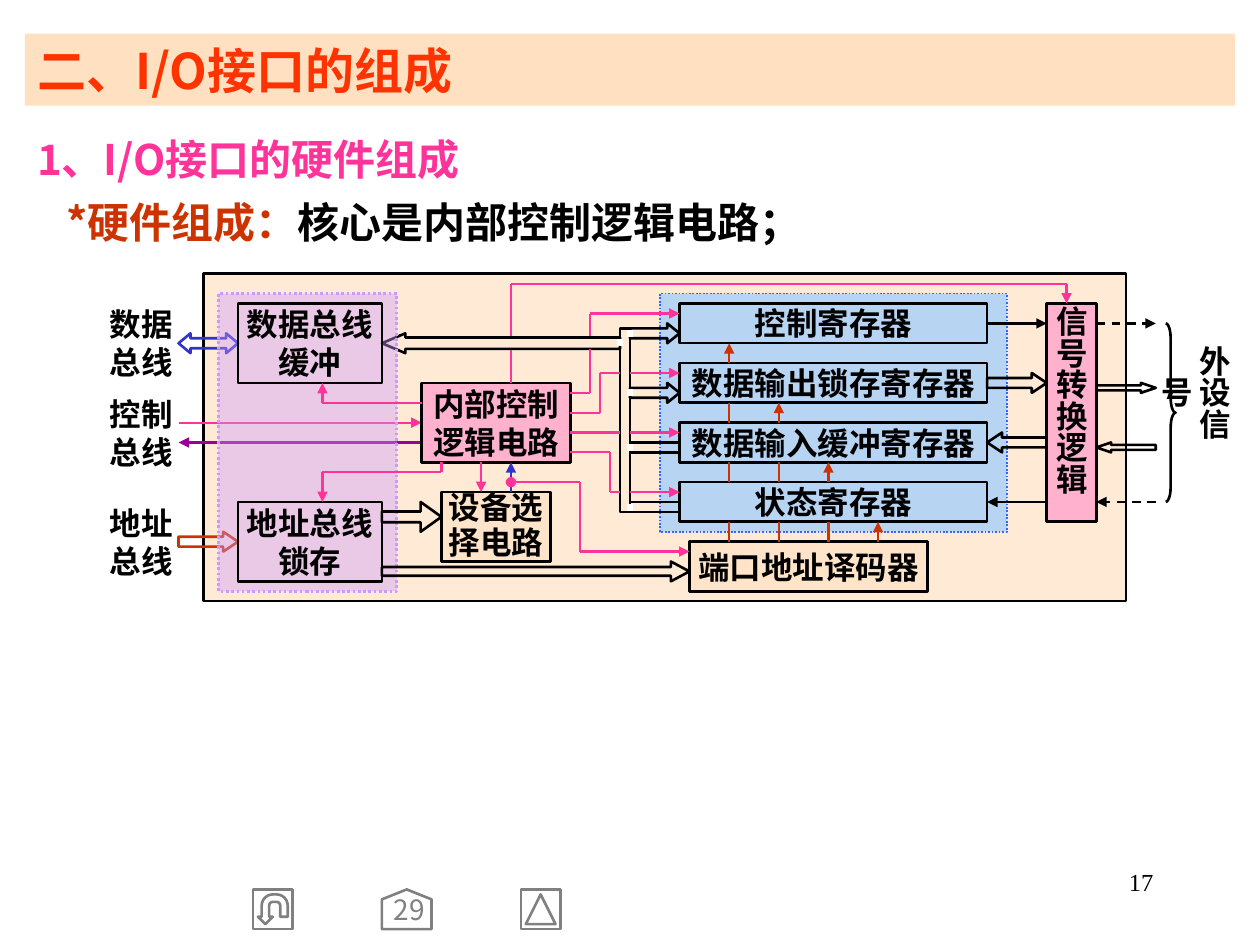
from itertools import pairwise

from lxml.etree import SubElement
from pptx import Presentation
from pptx.dml.color import RGBColor
from pptx.enum.dml import MSO_LINE
from pptx.enum.shapes import MSO_CONNECTOR, MSO_SHAPE
from pptx.enum.text import MSO_ANCHOR, MSO_AUTO_SIZE, PP_ALIGN
from pptx.oxml.ns import qn
from pptx.util import Cm, Pt

CJK_FONT = "Noto Sans CJK SC"
BLACK = RGBColor(0, 0, 0)
WHITE = RGBColor(0xFF, 0xFF, 0xFF)
GRAY = RGBColor(0x80, 0x80, 0x80)
PEACH = RGBColor(0xFF, 0xCC, 0x99)
ORANGE = RGBColor(0xFF, 0x33, 0x00)
RUST = RGBColor(0xCC, 0x33, 0x00)
PINK = RGBColor(0xFF, 0x33, 0x99)
ROSE = RGBColor(0xFF, 0x99, 0xCC)
PURPLE = RGBColor(0x99, 0x00, 0x99)
LILAC = RGBColor(0xCC, 0x99, 0xFF)
INDIGO = RGBColor(0x33, 0x33, 0xCC)
SKY = RGBColor(0x99, 0xCC, 0xFF)
BLUE = RGBColor(0x33, 0x66, 0xFF)

TOP = 5.52  # upper edge of the diagram, in cm; diagram heights count from here
RECT, RIGHT, LEFT = MSO_SHAPE.RECTANGLE, MSO_SHAPE.RIGHT_ARROW, MSO_SHAPE.LEFT_ARROW

prs = Presentation()
prs.slide_width, prs.slide_height = Cm(25.4), Cm(19.05)
slide = prs.slides.add_slide(prs.slide_layouts[5])


def block(x, y, width, height, text="", kind=RECT, fill=None, alpha=100, line=BLACK,
          weight=1.5, dash=None, adjust=(), vertical=False, color=BLACK, size=18,
          bold=True, spacing=None):
    """Add a preset shape, or a text box when kind is None."""
    place = Cm(x), Cm(TOP + y), Cm(width), Cm(height)
    if kind is None:
        shape = slide.shapes.add_textbox(*place)
    else:
        shape = slide.shapes.add_shape(kind, *place)
        shape.shadow.inherit = False
        shape.line.color.rgb = line
        shape.line.width = Pt(weight)
        if dash:
            shape.line.dash_style = dash
        for index, value in enumerate(adjust):
            shape.adjustments[index] = value
        shape.fill.background()
    if fill is not None:
        shape.fill.solid()
        shape.fill.fore_color.rgb = fill
        SubElement(shape.fill._xPr.find(".//" + qn("a:srgbClr")), qn("a:alpha"),
                   val=str(alpha * 1000))
    if text:
        frame = shape.text_frame
        frame.word_wrap = True
        frame.vertical_anchor = MSO_ANCHOR.MIDDLE
        frame.margin_left = frame.margin_right = Cm(0.03 if vertical else 0.05)
        frame.margin_top = frame.margin_bottom = Cm(0.05 if vertical else 0.03)
        if vertical:
            frame._txBody.bodyPr.set("vert", "eaVert")
        paragraph = frame.paragraphs[0]
        paragraph.text = text
        paragraph.alignment = PP_ALIGN.CENTER
        paragraph.line_spacing = spacing
        paragraph.font.size, paragraph.font.bold = Pt(size), bold
        paragraph.font.color.rgb = color
        paragraph.font.name = CJK_FONT
    return shape


def wire(*points, color=PINK, weight=1.25, arrow=True, dot=False, dash=None):
    """Join the points with straight lines; the last may end in an arrowhead."""
    for (x1, y1), (x2, y2) in pairwise(points):
        segment = slide.shapes.add_connector(
            MSO_CONNECTOR.STRAIGHT, Cm(x1), Cm(TOP + y1), Cm(x2), Cm(TOP + y2))
        segment.line.color.rgb = color
        segment.line.width = Pt(weight)
        if dash:
            segment.line.dash_style = dash
        ln = segment.line._get_or_add_ln()
        if dot and (x1, y1) == points[0]:
            SubElement(ln, qn("a:headEnd"), type="oval")
        if arrow and (x2, y2) == points[-1]:
            SubElement(ln, qn("a:tailEnd"), type="triangle")
        SubElement(segment._element.spPr, qn("a:effectLst"))


# Title band
title = slide.shapes.title
title.left, title.top, title.width, title.height = Cm(0.5), Cm(0.68), Cm(24.4), Cm(1.45)
title.fill.solid()
title.fill.fore_color.rgb = PEACH
SubElement(title.fill._xPr.find(".//" + qn("a:srgbClr")), qn("a:alpha"), val="60000")
title.text_frame.text = "二、I/O接口的组成"
title.text_frame.auto_size = MSO_AUTO_SIZE.NONE
title.text_frame.vertical_anchor = MSO_ANCHOR.TOP
heading = title.text_frame.paragraphs[0]
heading.alignment = PP_ALIGN.LEFT
heading.font.size, heading.font.bold = Pt(28), True
heading.font.color.rgb = ORANGE
heading.font.name = CJK_FONT

# Section heading and key point
intro = slide.shapes.add_textbox(Cm(0.5), Cm(2.31), Cm(24.5), Cm(2.8)).text_frame
intro.word_wrap = True
section, point = intro.paragraphs[0], intro.add_paragraph()
point._p.get_or_add_pPr().set("marL", str(Cm(0.59)))
for paragraph, parts in (
        (section, [("1、I/O接口的硬件组成", PINK, CJK_FONT)]),
        (point, [("*硬件组成：", RUST, CJK_FONT),
                 ("核心是内部控制逻辑电路；", BLACK, "Times New Roman")])):
    paragraph.line_spacing = 1.25
    paragraph.font.size, paragraph.font.bold = Pt(24), True
    for text, color, font in parts:
        run = paragraph.add_run()
        run.text = text
        run.font.color.rgb = color
        run.font.name = font

# Frame, external buses and control logic
block(4.1, 0, 18.6, 6.6, fill=PEACH, alpha=40)
block(3.6, 1.2, 1.2, 0.4, kind=MSO_SHAPE.LEFT_RIGHT_ARROW, line=INDIGO, adjust=(0.5, 0.6))
block(3.6, 5.2, 1.2, 0.4, kind=RIGHT, line=RUST, adjust=(0.5, 0.75))
wire((3.6, 3), (8.5, 3))
wire((8.5, 3.4), (3.6, 3.4), color=PURPLE)
for y, bus in ((0.6, "数据总线"), (2.4, "控制总线"), (4.6, "地址总线")):
    block(2.1, y, 1.5, 1.6, bus, kind=None)
block(8.5, 2.2, 3, 1.6, "内部控制逻辑电路", fill=ROSE, alpha=70)

# Peripheral signals
wire((22.1, 1), (23.3, 1), color=BLACK, dash=MSO_LINE.DASH)
block(22.1, 2.2, 1.2, 0.2, kind=RIGHT, adjust=(0.5, 1.5))
block(22.1, 3.4, 1.2, 0.2, kind=LEFT, adjust=(0.5, 1.5))
wire((23.3, 4.6), (22.1, 4.6), color=BLACK, dash=MSO_LINE.DASH)
block(23.5, 1, 0.2, 3.6, kind=MSO_SHAPE.RIGHT_BRACE, adjust=(1.5, 0.5))
block(23.7, 1.4, 0.8, 2.6, "外设信号", kind=None, vertical=True)

# Registers
block(13.3, 0.4, 7, 4.8, fill=SKY, alpha=70, line=BLUE, weight=1, dash=MSO_LINE.ROUND_DOT)
registers = ("控制寄存器", "数据输出锁存寄存器", "数据输入缓冲寄存器", "状态寄存器")
for row, register in enumerate(registers):
    block(13.7, 0.6 + 1.2 * row, 6.2, 0.8, register)

# Internal data bus, with white strokes opening its junctions
block(12.5, 1.1, 0.2, 3.7)
for y in (1, 2.2):
    block(12.7, y, 1, 0.4, kind=RIGHT, adjust=(0.5, 0.62))
for y in (3.4, 4.6):
    block(12.7, y, 1, 0.2)
block(7.7, 1.2, 4.8, 0.4, kind=LEFT, adjust=(0.58, 1.18))
for x, y in ((12.7, 1.13), (12.7, 2.33), (12.7, 3.44), (12.7, 4.64), (12.5, 1.32)):
    wire((x, y), (x, y + 0.14), color=WHITE, weight=3, arrow=False)

# Bus buffer and latch
block(4.4, 0.4, 3.6, 6, fill=LILAC, alpha=40, line=LILAC, dash=MSO_LINE.ROUND_DOT)
block(4.8, 0.6, 2.9, 1.6, "数据总线缓冲")
block(4.8, 4.6, 2.9, 1.6, "地址总线锁存")

# Address decoding
block(7.7, 5.8, 6.2, 0.4, kind=RIGHT, adjust=(0.44, 0.94))
block(8.9, 4.4, 2.2, 1.4, "设备选择电路", fill=PEACH, alpha=20, spacing=0.9)
block(7.7, 4.6, 1.2, 0.6, kind=RIGHT, adjust=(0.36, 0.7))
block(13.9, 5.4, 4.8, 1, "端口地址译码器", fill=PEACH, alpha=20)
wire((10.3, 4.4), (10.3, 3.8), color=INDIGO)

# Port select lines: each rises through the row gaps to its own register
for column in range(4):
    for gap in range(column, 4):
        x, y = 14.7 + column, 1.4 + 1.2 * gap
        wire((x, y + 0.4), (x, y), color=RUST, arrow=gap == column)

# Signal conversion
wire((19.9, 1), (21.1, 1), color=BLACK)
block(19.9, 2, 1.2, 0.4, kind=RIGHT, adjust=(0.5, 0.75))
block(19.9, 3.2, 1.2, 0.4, kind=LEFT, adjust=(0.5, 0.75))
wire((21.1, 4.6), (19.9, 4.6), color=BLACK)
block(21.1, 0.6, 1, 4.4, "信号转换逻辑", fill=ROSE, alpha=70, vertical=True)

# Control lines, broken where they cross the data bus
wire((8.5, 2.6), (6.5, 2.6), (6.5, 2.2))
wire((8.9, 3.8), (8.9, 4), (6.5, 4), (6.5, 4.6))
wire((9.7, 3.8), (9.7, 4.4))
wire((10.3, 4.2), (11.7, 4.2), (11.7, 5.6), (13.9, 5.6), dot=True)
wire((10.3, 2.2), (10.3, 1.54), arrow=False)
wire((10.3, 1.26), (10.3, 0.2), (21.5, 0.2), (21.5, 0.6))
wire((11.5, 2.4), (11.9, 2.4), (11.9, 1.52), arrow=False)
wire((11.9, 1.26), (11.9, 0.8), (13.7, 0.8))
wire((11.5, 2.8), (12.1, 2.8), (12.1, 2), (12.5, 2), arrow=False)
wire((11.5, 3.2), (12.5, 3.2), arrow=False)
wire((11.5, 3.6), (12.3, 3.6), (12.3, 4.4), (12.5, 4.4), arrow=False)
for y in (2, 3.2, 4.4):
    wire((12.7, y), (13.7, y))

# Navigation buttons
for x, kind, turn in ((5.1, MSO_SHAPE.ACTION_BUTTON_RETURN, 180),
                      (10.5, MSO_SHAPE.ACTION_BUTTON_FORWARD_OR_NEXT, 270)):
    block(x, 12.41, 0.8, 0.8, kind=kind, line=GRAY).rotation = turn
block(7.8, 12.31, 0.8, 1, kind=MSO_SHAPE.PENTAGON, line=GRAY, adjust=(0.25,)).rotation = 270
block(7.8, 12.56, 0.9, 0.6, "29", kind=None, color=GRAY, size=16, bold=False, spacing=0.85)

# Page number
page = slide.shapes.add_textbox(Cm(18.2), Cm(17.35), Cm(5.3), Cm(1.27)).text_frame
page.word_wrap = True
page.text = "17"
number = page.paragraphs[0]
number.alignment = PP_ALIGN.RIGHT
number.font.size = Pt(14)
number.font.color.rgb = BLACK
number.font.name = "Times New Roman"

# Chinese characters take the same face everywhere
for latin in list(slide.shapes._spTree.iter(qn("a:latin"))):
    latin.addnext(SubElement(latin.getparent(), qn("a:ea"), typeface=CJK_FONT))

prs.save("out.pptx")
